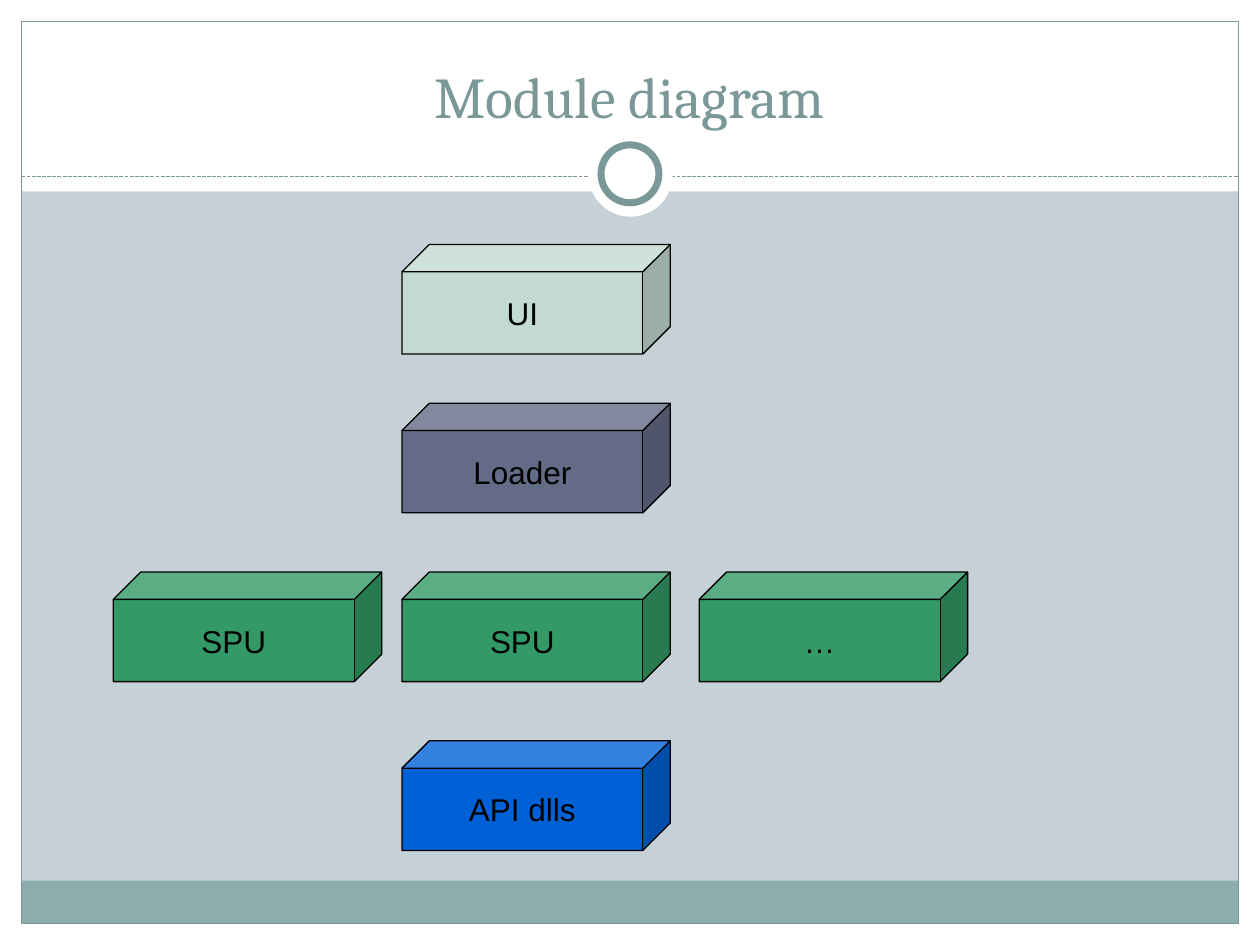
from lxml.etree import SubElement
from pptx import Presentation
from pptx.dml.color import RGBColor
from pptx.enum.dml import MSO_LINE
from pptx.enum.shapes import MSO_CONNECTOR, MSO_SHAPE
from pptx.enum.text import MSO_ANCHOR, PP_ALIGN
from pptx.oxml.ns import qn
from pptx.util import Inches, Pt

BACKGROUND = RGBColor(0xC5, 0xD1, 0xD7)
WHITE = RGBColor(0xFF, 0xFF, 0xFF)
BLACK = RGBColor(0x00, 0x00, 0x00)
TEAL = RGBColor(0x7B, 0x98, 0x99)
FOOTER = RGBColor(0x8C, 0xAD, 0xAE)
MINT = RGBColor(0xC2, 0xDA, 0xD2)
SLATE = RGBColor(0x64, 0x6B, 0x86)
GREEN = RGBColor(0x33, 0x99, 0x66)
BLUE = RGBColor(0x00, 0x61, 0xD6)

WIDTH, HEIGHT = 10, 7.5
MARGIN = 0.17
LEFT, MIDDLE, RIGHT = 0.9, 3.19, 5.55  # module columns

MODULES = [
    ("UI", MIDDLE, 1.94, MINT),
    ("Loader", MIDDLE, 3.2, SLATE),
    ("SPU", LEFT, 4.54, GREEN),
    ("SPU", MIDDLE, 4.54, GREEN),
    ("…", RIGHT, 4.54, GREEN),
    ("API dlls", MIDDLE, 5.88, BLUE),
]


def add_shape(slide, kind, box, fill=None, line=None, line_width=0.75):
    shape = slide.shapes.add_shape(kind, *(Inches(value) for value in box))
    shape.shadow.inherit = False
    if fill is None:
        shape.fill.background()
    else:
        shape.fill.solid()
        shape.fill.fore_color.rgb = fill
    if line is None:
        shape.line.fill.background()
    else:
        shape.line.color.rgb = line
        shape.line.width = Pt(line_width)
    return shape


def add_divider(slide, y):
    divider = slide.shapes.add_connector(
        MSO_CONNECTOR.STRAIGHT,
        Inches(MARGIN), Inches(y), Inches(WIDTH - MARGIN), Inches(y))
    divider.line.color.rgb = TEAL
    divider.line.width = Pt(0.75)
    divider.line.dash_style = MSO_LINE.SQUARE_DOT
    SubElement(divider._element.spPr, qn("a:effectLst"))


def add_frame(slide):
    inner_width = WIDTH - 2 * MARGIN
    inner_bottom = HEIGHT - MARGIN
    # White borders, header and footer band
    for box, fill in [
        ((0, inner_bottom, WIDTH, MARGIN), WHITE),
        ((0, 0, WIDTH, 1.52), WHITE),
        ((0, 0, MARGIN, HEIGHT), WHITE),
        ((WIDTH - MARGIN, 0, MARGIN, HEIGHT), WHITE),
        ((MARGIN, 6.99, inner_width, 0.34), FOOTER),
    ]:
        add_shape(slide, MSO_SHAPE.RECTANGLE, box, fill)
    # Outline, divider and ring
    add_shape(slide, MSO_SHAPE.RECTANGLE,
              (MARGIN, MARGIN, inner_width, HEIGHT - 2 * MARGIN), line=TEAL)
    add_divider(slide, 1.4)
    add_shape(slide, MSO_SHAPE.OVAL, (4.67, 1.05, 0.67, 0.67), WHITE)
    add_shape(slide, MSO_SHAPE.OVAL, (4.77, 1.15, 0.46, 0.46), WHITE, TEAL, 4)


def format_text(paragraph, font_name, size, color):
    paragraph.alignment = PP_ALIGN.CENTER
    paragraph.font.name = font_name
    paragraph.font.size = Pt(size)
    paragraph.font.color.rgb = color


def set_title(slide, text):
    title = slide.shapes.title
    title.left, title.top = Inches(0.33), Inches(0.25)
    title.width, title.height = Inches(9.33), Inches(0.83)
    title.text_frame.text = text
    title.text_frame.vertical_anchor = MSO_ANCHOR.BOTTOM
    format_text(title.text_frame.paragraphs[0], "Cambria", 33, TEAL)
    # Bring the title in front of the white header
    title._element.getparent().append(title._element)


def add_module(slide, label, left, top, fill):
    cube = add_shape(slide, MSO_SHAPE.CUBE, (left, top, 2.13, 0.87), fill, BLACK)
    cube.adjustments[0] = 0.25
    frame = cube.text_frame
    frame.text = label
    frame.word_wrap = False
    frame.vertical_anchor = MSO_ANCHOR.MIDDLE
    format_text(frame.paragraphs[0], "Arial", 18, BLACK)


def main():
    presentation = Presentation()
    presentation.slide_width = Inches(WIDTH)
    presentation.slide_height = Inches(HEIGHT)
    slide = presentation.slides.add_slide(presentation.slide_layouts[5])
    slide.background.fill.solid()
    slide.background.fill.fore_color.rgb = BACKGROUND

    add_frame(slide)
    set_title(slide, "Module diagram")
    for module in MODULES:
        add_module(slide, *module)

    presentation.save("out.pptx")


if __name__ == "__main__":
    main()
